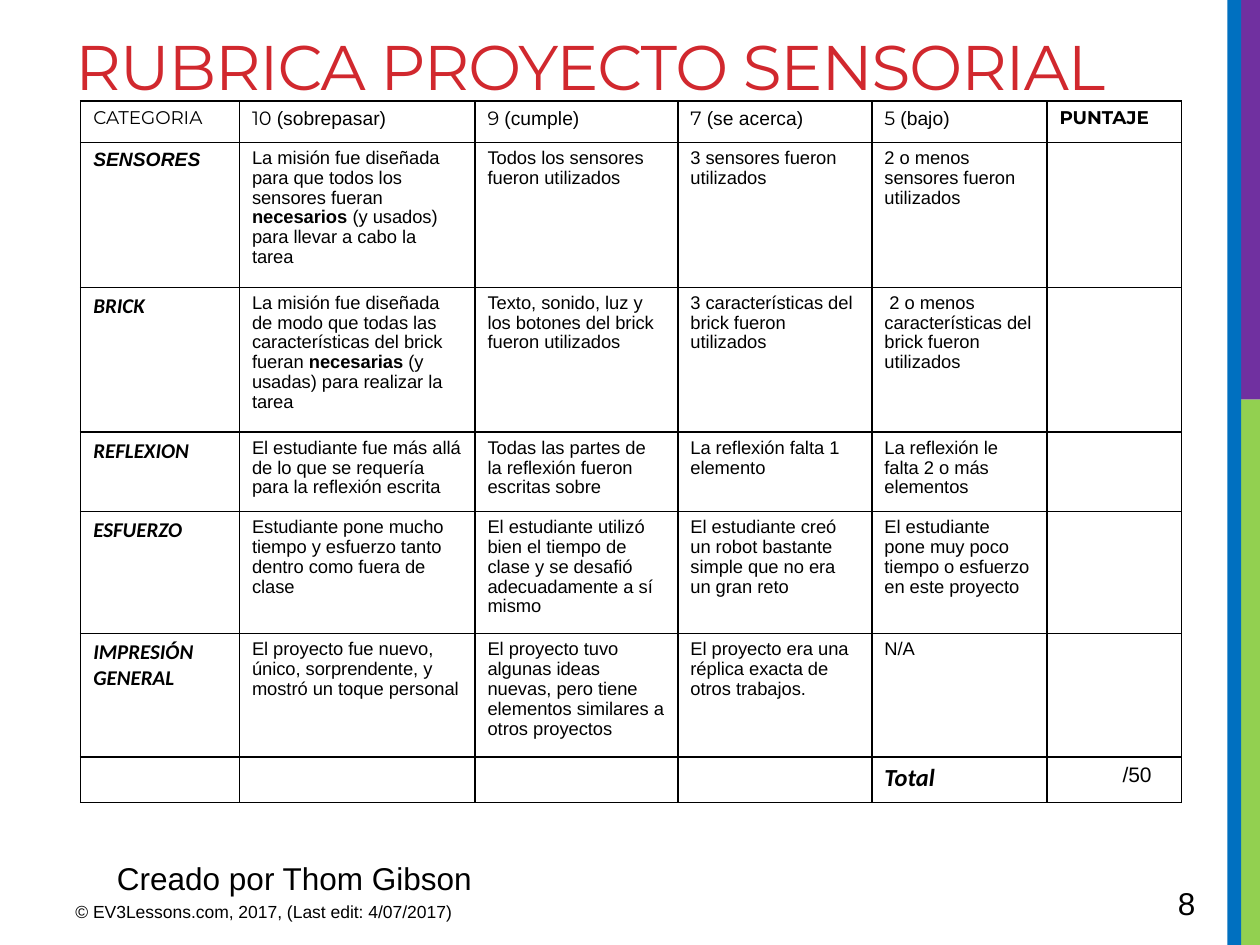
from lxml.etree import SubElement as Sub
from pptx import Presentation
from pptx.dml.color import RGBColor as RGB
from pptx.enum.shapes import MSO_SHAPE as Shape
from pptx.enum.text import MSO_ANCHOR as Anchor
from pptx.oxml.ns import qn
from pptx.util import Inches, Pt

# Content
COLORS = {"blue": "0070C0", "green": "92D050", "purple": "7030A0",
          "red": "D1282E", "black": "000000"}
BARS = [("green", 9.84, 3.17, 0.16, 4.33), ("purple", 9.8, 0, 0.2, 3.17),
        ("blue", 9.74, 0, 0.11, 7.5)]
STYLES = {
    "title": {"name": "Montserrat", "size": Pt(36)},
    "note": {"name": "Arial", "size": Pt(10)},
    "large": {"name": "Arial", "size": Pt(18)},
    "head": {"name": "Montserrat", "size": Pt(10.5)},
    "headbold": {"name": "Montserrat", "size": Pt(10.5), "bold": True},
    "grade": {"name": "Montserrat", "size": Pt(11)},
    "level": {"name": "Arial", "size": Pt(11)},
    "first": {"name": "Arial", "size": Pt(11), "bold": True, "italic": True},
    "label": {"name": "Calibri", "size": Pt(12), "bold": True, "italic": True},
    "body": {"name": "Arial", "size": Pt(10.5)},
    "strong": {"name": "Arial", "size": Pt(10.5), "bold": True},
    "total": {"name": "Calibri", "size": Pt(14), "bold": True, "italic": True},
    "score": {"name": "Arial", "size": Pt(12)},
}
# text, style, color, left, top, width, height, wrap
TEXTS = [
    ("RUBRICA PROYECTO SENSORIAL", "title", "red", 0.5, 0.17, 9.26, 1.5, True),
    ("© EV3Lessons.com, 2017, (Last edit: 4/07/2017)", "note", "black",
     0.5, 7.1, 3.75, 0.31, True),
    ("8", "large", "black", 9.25, 6.97, 0.69, 0.4, True),
    ("Creado por Thom Gibson", "large", "black", 0.83, 6.77, 3.11, 0.4, False),
]
LEVELS = [("10 ", "(sobrepasar)"), ("9 ", "(cumple)"),
          ("7 ", "(se acerca)"), ("5 ", "(bajo)")]
# Bold words stand between asterisks
RUBRIC = [
    ("SENSORES",
     "La misión fue diseñada para que todos los sensores fueran "
     "*necesarios* (y usados) para llevar a cabo la tarea",
     "Todos los sensores fueron utilizados",
     "3 sensores fueron utilizados",
     "2 o menos sensores fueron utilizados"),
    ("BRICK",
     "La misión fue diseñada de modo que todas las características del brick "
     "fueran *necesarias* (y usadas) para realizar la tarea",
     "Texto, sonido, luz y los botones del brick fueron utilizados",
     "3 características del brick fueron utilizados",
     " 2 o menos características del brick fueron utilizados"),
    ("REFLEXION",
     "El estudiante fue más allá de lo que se requería para la reflexión escrita",
     "Todas las partes de la reflexión fueron escritas sobre",
     "La reflexión falta 1 elemento",
     "La reflexión le falta 2 o más elementos"),
    ("ESFUERZO",
     "Estudiante pone mucho tiempo y esfuerzo tanto dentro como fuera de clase",
     "El estudiante utilizó bien el tiempo de clase y se desafió "
     "adecuadamente a sí mismo",
     "El estudiante creó un robot bastante simple que no era un gran reto",
     "El estudiante pone muy poco tiempo o esfuerzo en este proyecto"),
    ("IMPRESIÓN GENERAL",
     "El proyecto fue nuevo, único, sorprendente, y mostró un toque personal",
     "El proyecto tuvo algunas ideas nuevas, pero tiene elementos similares "
     "a otros proyectos",
     "El proyecto era una réplica exacta de otros trabajos.",
     "N/A"),
]
COLS = [1.26, 1.87, 1.61, 1.54, 1.39, 1.07]
ROWS = [0.33, 1.15, 1.15, 0.63, 0.97, 0.98, 0.36]


def paint(color):
    return RGB.from_string(COLORS[color])


def write(para, text, style, color="black"):
    run = para.add_run()
    run.text = text
    for key, val in STYLES[style].items():
        setattr(run.font, key, val)
    run.font.color.rgb = paint(color)
    return run


def border(cell):
    props = cell._tc.get_or_add_tcPr()
    for spot, side in enumerate(("lnL", "lnR", "lnT", "lnB")):
        line = props.makeelement(qn(f"a:{side}"), {"w": str(Pt(1))})
        fill = Sub(line, qn("a:solidFill"))
        Sub(fill, qn("a:srgbClr"), val=COLORS["black"])
        props.insert(spot, line)


def split(text):
    parts = text.split("*")
    return [(part, "strong" if n % 2 else "body") for n, part in enumerate(parts)]


def grid():
    """Lists of (text, style) runs for each cell."""
    top = [[("CATEGORIA", "head")]]
    top += [[(mark, "grade"), (word, "level")] for mark, word in LEVELS]
    rows = [top + [[("PUNTAJE", "headbold")]]]
    for n, (name, *texts) in enumerate(RUBRIC):
        label = [(name, "label" if n else "first")]
        rows.append([label] + [split(text) for text in texts] + [[]])
    rows.append([[]] * 4 + [[("Total", "total")], [("/50", "score")]])
    return rows


def main():
    deck = Presentation()
    deck.slide_width, deck.slide_height = Inches(10), Inches(7.5)
    slide = deck.slides.add_slide(deck.slide_layouts[6])
    shapes = slide.shapes

    # Side bars
    for color, *place in BARS:
        bar = shapes.add_shape(Shape.RECTANGLE, *map(Inches, place))
        bar.shadow.inherit = False
        bar.fill.solid()
        bar.fill.fore_color.rgb = paint(color)
        bar.line.fill.background()

    # Title and footer
    for text, style, color, *place, wrap in TEXTS:
        frame = shapes.add_textbox(*map(Inches, place)).text_frame
        frame.word_wrap = wrap
        frame.vertical_anchor = Anchor.TOP
        run = write(frame.paragraphs[0], text, style, color)
        if style == "title":
            run.font._element.set("spc", "-60")

    # Rubric table
    table = shapes.add_table(len(ROWS), len(COLS), Inches(0.64), Inches(0.8),
                             Inches(sum(COLS)), Inches(sum(ROWS))).table
    table.first_row = table.horz_banding = False
    for col, width in zip(table.columns, COLS):
        col.width = Inches(width)
    for row, height, line in zip(table.rows, ROWS, grid()):
        row.height = Inches(height)
        for cell, runs in zip(row.cells, line):
            cell.fill.background()
            border(cell)
            para = cell.text_frame.paragraphs[0]
            for text, style in runs:
                write(para, text, style)
                if style == "body":
                    para.line_spacing = 0.97
                elif style == "score":
                    para.level = 1
                    para._p.get_or_add_pPr().set("marL", str(Inches(0.5)))
            if not runs:
                Sub(para._p, qn("a:endParaRPr"), sz="1050")

    deck.save("out.pptx")


if __name__ == "__main__":
    main()
